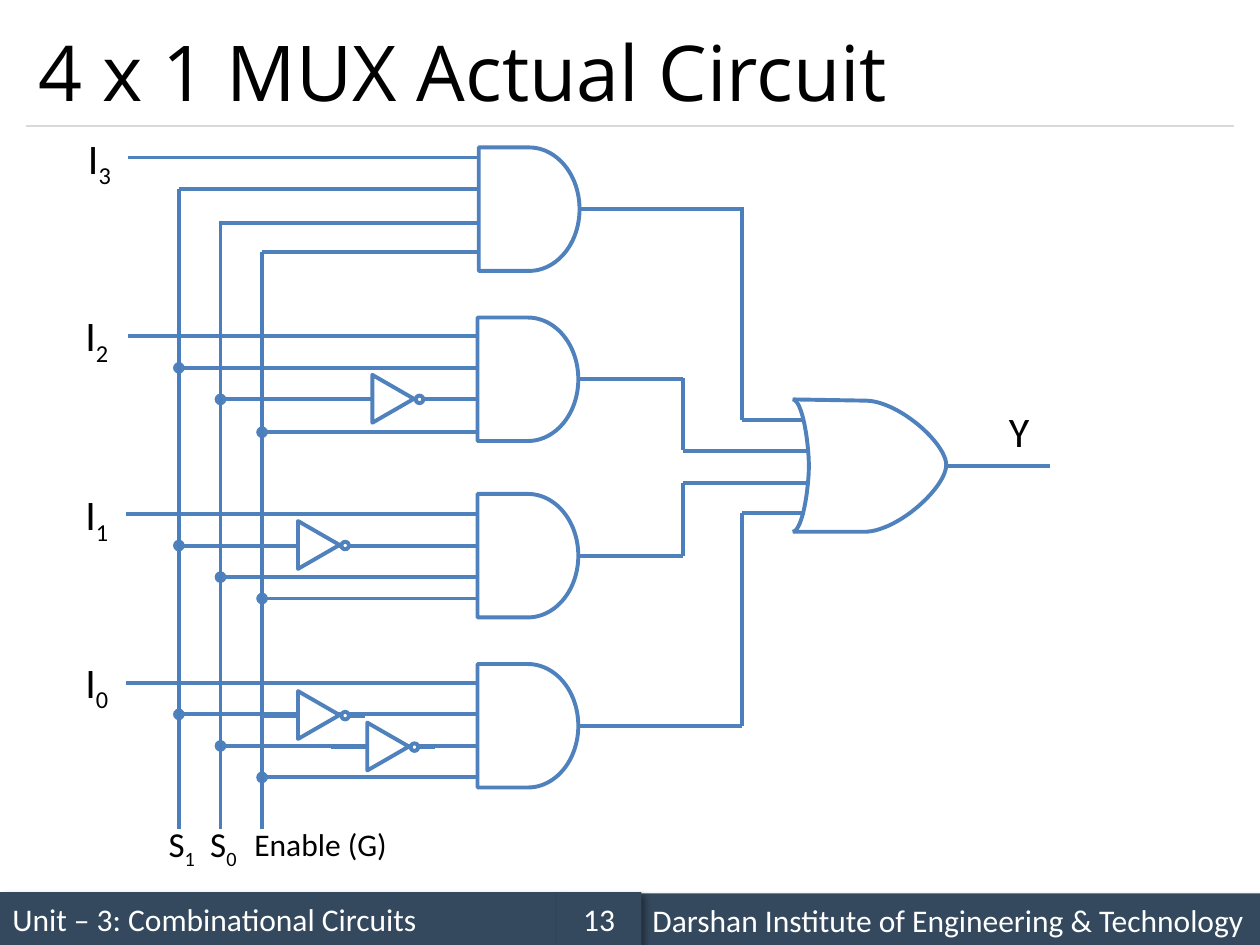
from pptx import Presentation
from pptx.dml.color import RGBColor
from pptx.enum.shapes import MSO_CONNECTOR, MSO_SHAPE
from pptx.enum.text import MSO_ANCHOR, MSO_AUTO_SIZE, PP_ALIGN
from pptx.oxml import parse_xml
from pptx.oxml.ns import nsdecls
from pptx.util import Inches, Pt

WIRE = "4F81BD"
RAIL = "4B7EBC"
SHADOW = (
    f'<a:effectLst {nsdecls("a")}><a:outerShdw blurRad="50800" dist="38100" dir="2700000">'
    '<a:srgbClr val="000000"><a:alpha val="40000"/></a:srgbClr></a:outerShdw></a:effectLst>'
)


def color(value):
    return RGBColor.from_string(value)


def add_span(para, text, size=18, font="Calibri", fill="000000", subscript=False):
    span = para.add_run()
    span.text = text
    span.font.size = Pt(size)
    span.font.name = font
    span.font.color.rgb = color(fill)
    if subscript:
        span.font._element.set("baseline", "-25000")


def bezier(start, first, second, end, steps=24):
    points = []
    for step in range(1, steps + 1):
        t = step / steps
        u = 1 - t
        weights = (u**3, 3 * u * u * t, 3 * u * t * t, t**3)
        corners = (start, first, second, end)
        points.append(tuple(sum(w * c[axis] for w, c in zip(weights, corners)) for axis in (0, 1)))
    return points


class Circuit:
    def __init__(self, page):
        self.page = page
        self.width = 2.25

    def wire(self, x1, y1, x2, y2, stroke=WIRE, width=None, dot=False):
        line = self.page.shapes.add_connector(
            MSO_CONNECTOR.STRAIGHT, Inches(x1), Inches(y1), Inches(x2), Inches(y2))
        line.line.color.rgb = color(stroke)
        line.line.width = Pt(width or self.width)
        if dot:
            line.line._get_or_add_ln().append(
                parse_xml(f'<a:headEnd {nsdecls("a")} type="oval"/>'))
        line._element.spPr.append(parse_xml(f'<a:effectLst {nsdecls("a")}/>'))

    def rail(self, x, top, bottom):
        self.wire(x, top, x, bottom, stroke=RAIL, width=2)

    def shape(self, kind, left, top, width, height, fill=None):
        shape = self.page.shapes.add_shape(
            kind, Inches(left), Inches(top), Inches(width), Inches(height))
        self.outline(shape, fill)
        return shape

    def outline(self, shape, fill=None):
        shape.shadow.inherit = False
        if fill:
            shape.fill.solid()
            shape.fill.fore_color.rgb = color(fill)
        else:
            shape.fill.background()
        shape.line.color.rgb = color(WIRE)
        shape.line.width = Pt(self.width)

    def curve(self, points):
        places = [(Inches(x), Inches(y)) for x, y in points]
        builder = self.page.shapes.build_freeform(*places[0], scale=1.0)
        builder.add_line_segments(places[1:], close=False)
        self.outline(builder.convert_to_shape())

    def and_gate(self, left, top, output_end):
        self.wire(left + 0.8, top + 0.49, output_end, top + 0.49)
        self.shape(MSO_SHAPE.FLOWCHART_DELAY, left, top, 0.8, 0.98)

    def or_gate(self):
        upper, tip, lower = (6.88, 3.18), (7.51, 3.69), (6.88, 4.22)
        self.curve([(6.3, 3.17), upper]
                   + bezier(upper, (7.14, 3.19), (7.51, 3.52), tip)
                   + bezier(tip, (7.51, 3.86), (7.15, 4.2), lower)
                   + [(6.3, 4.22)])
        bottom, middle, top = (6.29, 4.22), (6.42, 3.7), (6.29, 3.17)
        self.curve([bottom] + bezier(bottom, (6.37, 4.22), (6.42, 3.87), middle)
                   + bezier(middle, (6.42, 3.52), (6.37, 3.17), top))

    def inverter(self, x, y):
        self.wire(x, y, x + 0.29, y)
        self.wire(x + 0.69, y, x + 0.82, y)
        self.shape(MSO_SHAPE.OVAL, x + 0.63, y - 0.03, 0.06, 0.06, "FFFFFF")
        triangle = self.shape(
            MSO_SHAPE.ISOSCELES_TRIANGLE, x + 0.26, y - 0.17, 0.38, 0.33, "FFFFFF")
        triangle.rotation = 90

    def label(self, left, top, width, height, text, subscript="", size=24, wrap=False):
        box = self.page.shapes.add_textbox(
            Inches(left), Inches(top), Inches(width), Inches(height))
        frame = box.text_frame
        frame.word_wrap = wrap
        frame.auto_size = MSO_AUTO_SIZE.SHAPE_TO_FIT_TEXT
        para = frame.paragraphs[0]
        add_span(para, text, size=size)
        if subscript:
            add_span(para, subscript, size=size, subscript=True)

    def title(self, text):
        box = self.page.shapes.add_textbox(Inches(0.21), Inches(0.12), Inches(9.58), Inches(0.88))
        box.text_frame.word_wrap = True
        box.text_frame.vertical_anchor = MSO_ANCHOR.MIDDLE
        add_span(box.text_frame.paragraphs[0], text, size=44, font="Open Sans")

    def footer(self, left, top, width, text, align=PP_ALIGN.LEFT):
        bar = self.shape(MSO_SHAPE.RECTANGLE, left, top, width, 0.42, "34495E")
        bar.line.fill.background()
        properties = bar._element.spPr
        properties.replace(properties.find("{*}effectLst"), parse_xml(SHADOW))
        bar.text_frame.word_wrap = True
        bar.text_frame.vertical_anchor = MSO_ANCHOR.MIDDLE
        para = bar.text_frame.paragraphs[0]
        para.alignment = align
        add_span(para, text, fill="FFFFFF")


def main():
    deck = Presentation()
    deck.slide_width, deck.slide_height = Inches(10), Inches(7.5)
    circuit = Circuit(deck.slides.add_slide(deck.slide_layouts[6]))

    circuit.footer(0, 7.08, 4.42, "Unit – 3: Combinational Circuits")
    circuit.wire(0.21, 1, 9.79, 1, stroke="D9D9D9", width=0.75)
    circuit.footer(5.08, 7.09, 4.92, "Darshan Institute of Engineering & Technology")
    circuit.footer(4.42, 7.08, 0.67, "13", PP_ALIGN.CENTER)
    circuit.title("4 x 1 MUX Actual Circuit")

    select_1, select_0, enable = 1.42, 1.75, 2.08
    inner, outer = 5.42, 5.89
    gates = [
        ("3", 3.8, 1.17, outer, (1.02, 1.25), (1.5, 1.77, 2), (0.6, 1)),
        ("2", 3.79, 2.52, inner, (1.02, 2.67), (2.92, 3.17, 3.43), (0.58, 2.41)),
        ("1", 3.79, 3.92, inner, (1, 4.08), (4.33, 4.58, 4.75), (0.58, 3.83)),
        ("0", 3.79, 5.27, outer, (1, 5.42), (5.67, 5.92, 6.17), (0.58, 5.16)),
    ]
    for number, left, top, output_end, (x, y), taps, place in gates:
        circuit.wire(x, y, left, y)
        for rail_x, tap in zip((select_1, select_0, enable), taps):
            circuit.wire(rail_x, tap, left, tap, dot=number != "3")
        circuit.and_gate(left, top, output_end)
        circuit.label(*place, 0.4, 0.5, "I", number)

    for x, top in ((select_1, 1.5), (select_0, 1.75), (enable, 2)):
        circuit.rail(x, top, 6.58)
    for x, y in ((2.08, 4.33), (2.08, 5.68), (2.63, 5.93), (2.67, 3.17)):
        circuit.inverter(x, y)

    for x, y, end in ((outer, 3.33, 6.39), (inner, 3.58, 6.41),
                      (inner, 3.83, 6.41), (outer, 4.07, 6.39), (7.52, 3.7, 8.33)):
        circuit.wire(x, y, end, y)
    for x, top, bottom in ((outer, 1.64, 3.33), (inner, 3, 3.57),
                           (inner, 3.83, 4.41), (outer, 4.07, 5.76)):
        circuit.rail(x, top, bottom)
    circuit.or_gate()

    circuit.label(1.57, 6.48, 0.43, 0.44, "S", "0", size=20)
    circuit.label(1.24, 6.48, 0.43, 0.44, "S", "1", size=20)
    circuit.label(1.92, 6.5, 1.29, 0.4, "Enable (G)", size=18, wrap=True)
    circuit.label(7.91, 3.17, 0.37, 0.5, "Y")
    deck.save("out.pptx")


if __name__ == "__main__":
    main()
